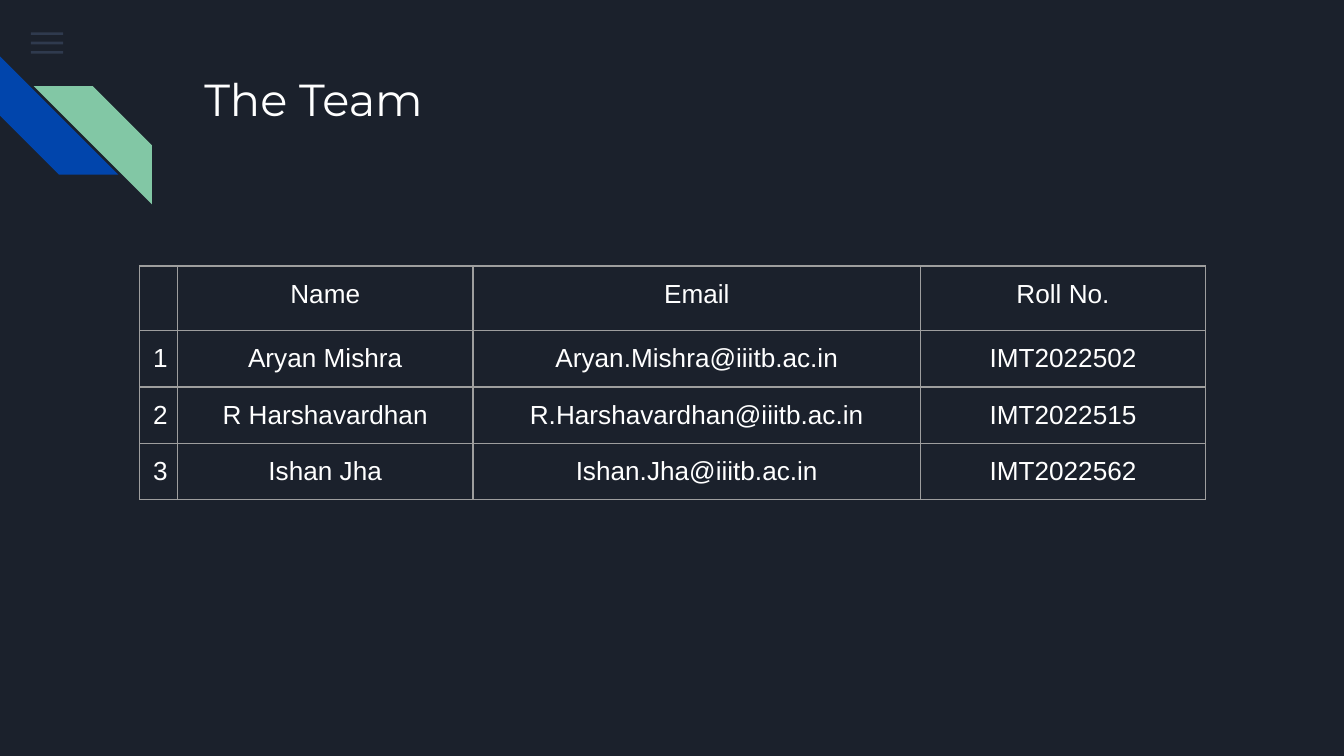
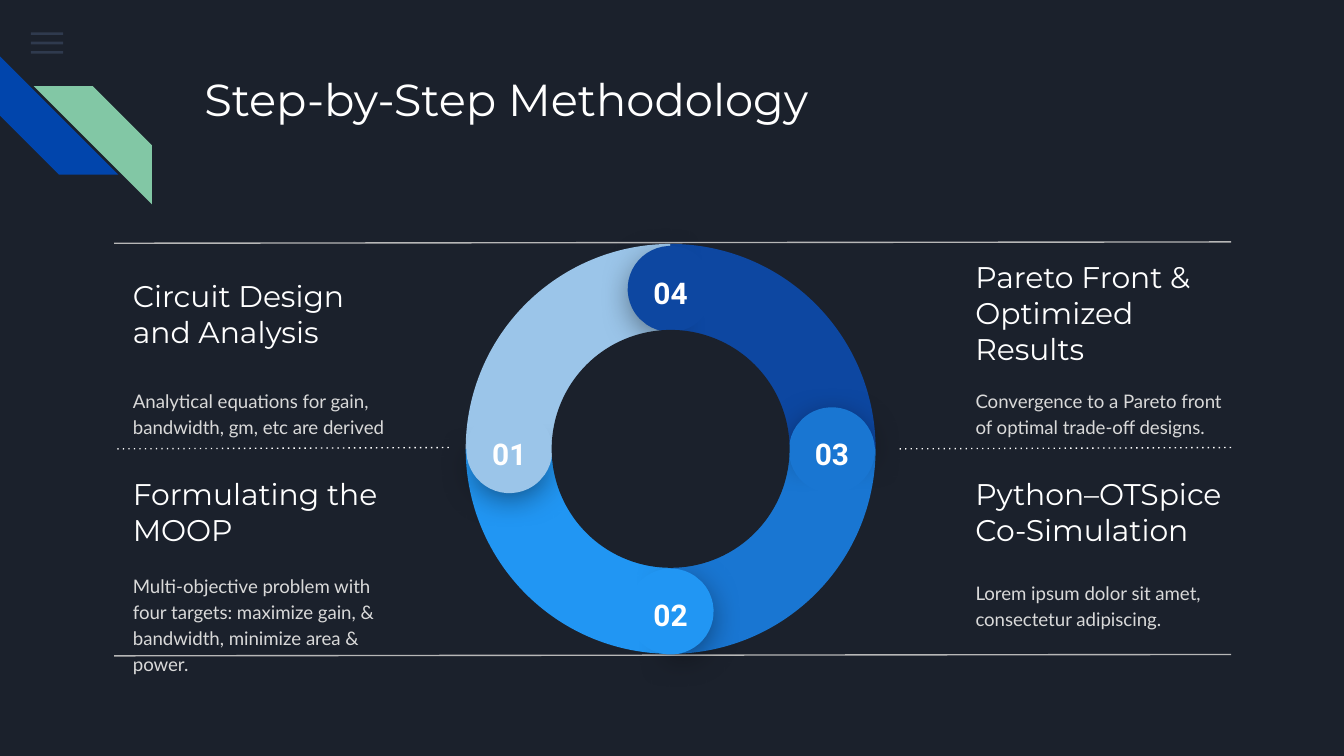
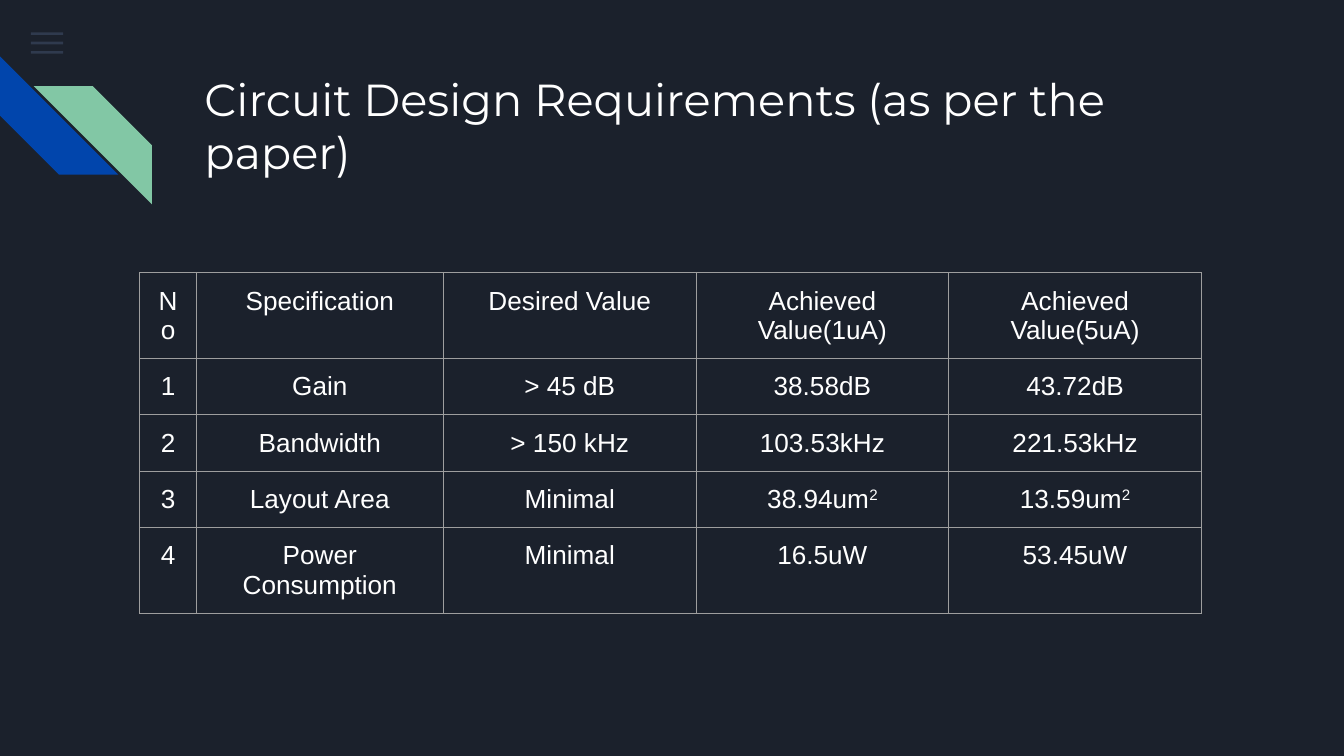
from dataclasses import dataclass
from math import cos, radians, sin

from lxml.etree import SubElement
from pptx import Presentation
from pptx.dml.color import RGBColor
from pptx.enum.shapes import MSO_CONNECTOR, MSO_SHAPE
from pptx.enum.text import MSO_ANCHOR, MSO_AUTO_SIZE, PP_ALIGN
from pptx.oxml.ns import qn
from pptx.util import Inches, Pt


@dataclass(frozen=True)
class Theme:
    background: str = "1B212C"
    menu: str = "55688B"
    blue: str = "0145AC"
    green: str = "82C7A5"
    white: str = "FFFFFF"
    detail: str = "D9D9D9"
    rule: str = "B7B7B7"
    border: str = "9E9E9E"
    shadow: str = "000000"
    title_font: str = "Montserrat"
    detail_font: str = "Lato"
    table_font: str = "Arial"
    number_font: str = "Roboto"
    title_size: int = 24
    heading_size: int = 16
    table_size: int = 14
    detail_size: int = 10
    line_width: float = 0.75


THEME = Theme()


@dataclass(frozen=True)
class Step:
    number: str
    heading: str
    detail: str
    color: str
    left: float
    heading_top: float
    detail_top: float


@dataclass(frozen=True)
class Rule:
    left: float
    right: float
    top: float
    color: str
    dotted: bool = False


@dataclass(frozen=True)
class TableSlide:
    title: str
    top: float
    columns: tuple[float, ...]
    rows: tuple[tuple[str, ...], ...]


TEAM = TableSlide("The Team", 1.98, (0.28, 2.2, 3.33, 2.12), (
    ("", "Name", "Email", "Roll No."),
    ("1", "Aryan Mishra", "Aryan.Mishra@iiitb.ac.in", "IMT2022502"),
    ("2", "R Harshavardhan", "R.Harshavardhan@iiitb.ac.in", "IMT2022515"),
    ("3", "Ishan Jha", "Ishan.Jha@iiitb.ac.in", "IMT2022562"),
))

# A caret marks the superscript that ends a cell
REQUIREMENTS = TableSlide(
    "Circuit Design Requirements (as per the paper)", 2.03,
    (0.42, 1.84, 1.88, 1.88, 1.88), (
        ("No", "Specification", "Desired Value", "Achieved Value(1uA)",
         "Achieved Value(5uA)"),
        ("1", "Gain", "> 45 dB", "38.58dB", "43.72dB"),
        ("2", "Bandwidth", "> 150 kHz", "103.53kHz", "221.53kHz"),
        ("3", "Layout Area", "Minimal", "38.94um^2", "13.59um^2"),
        ("4", "Power Consumption", "Minimal", "16.5uW", "53.45uW"),
    ))

STEPS = (
    Step("01", "Circuit Design and Analysis",
         "Analytical equations for gain, bandwidth, gm, etc are derived",
         "9BC5E9", 0.89, 2.09, 2.69),
    Step("02", "Formulating the MOOP",
         "Multi-objective problem with four targets: maximize gain, & "
         "bandwidth, minimize area & power.",
         "2196F3", 0.89, 3.56, 4.26),
    Step("03", "Python–OTSpice Co-Simulation",
         "Lorem ipsum dolor sit amet, consectetur adipiscing.",
         "1976D2", 7.16, 3.56, 4.12),
    Step("04", "Pareto Front & Optimized Results",
         "Convergence to a Pareto front of optimal trade-off designs.",
         "0D47A1", 7.16, 2.08, 2.69),
)

RULES = (
    Rule(0.85, 9.16, 1.8, THEME.rule),
    Rule(0.85, 3.34, 3.33, THEME.white, dotted=True),
    Rule(6.67, 9.16, 3.33, THEME.white, dotted=True),
    Rule(0.85, 9.16, 4.87, THEME.rule),
)

RING_X, RING_Y = 4.99, 3.34
RING_SIZE, HOLE_SIZE = 3.05, 1.77
CAP_ORBIT = 1.2


# Text
def write_text(frame, text: str, *, font: str, size: float,
               color: str = THEME.white, bold: bool = False,
               align=PP_ALIGN.LEFT, line_spacing: float = 1.0,
               space_after: float = 0) -> None:
    paragraph = frame.paragraphs[0]
    paragraph.alignment = align
    paragraph.line_spacing = line_spacing
    paragraph.space_after = Pt(space_after)
    for index, part in enumerate(text.split("^")):
        run = paragraph.add_run()
        run.text = part
        run.font.name, run.font.size, run.font.bold = font, Pt(size), bold
        run.font.color.rgb = RGBColor.from_string(color)
        if index:
            run._r.get_or_add_rPr().set("baseline", "30000")


def set_frame(frame, anchor=MSO_ANCHOR.TOP) -> None:
    frame.word_wrap = True
    frame.auto_size = MSO_AUTO_SIZE.NONE
    frame.vertical_anchor = anchor
    frame.margin_left = frame.margin_right = Inches(0.1)
    frame.margin_top = frame.margin_bottom = Inches(0.1)


def add_text(slide, left: float, top: float, width: float, height: float,
             text: str, anchor=MSO_ANCHOR.MIDDLE, **text_format) -> None:
    box = slide.shapes.add_textbox(
        Inches(left), Inches(top), Inches(width), Inches(height))
    set_frame(box.text_frame, anchor)
    write_text(box.text_frame, text, **text_format)


# Shapes and lines
def add_filled(slide, kind, left: float, top: float, width: float,
               height: float, color: str, rotation: float = 0,
               angles: tuple[float, ...] = ()):
    shape = slide.shapes.add_shape(
        kind, Inches(left), Inches(top), Inches(width), Inches(height))
    shape.fill.solid()
    shape.fill.fore_color.rgb = RGBColor.from_string(color)
    shape.line.fill.background()
    shape.shadow.inherit = False
    shape.rotation = rotation % 360
    for index, degrees in enumerate(angles):
        shape.adjustments[index] = degrees * 0.6  # 60000ths over 100000
    return shape


def add_centered(slide, kind, x: float, y: float, size: float, color: str,
                 rotation: float = 0, angles: tuple[float, ...] = ()):
    return add_filled(slide, kind, x - size / 2, y - size / 2, size, size,
                      color, rotation, angles)


def add_soft_shadow(shape) -> None:
    effects = shape._element.spPr.find(qn("a:effectLst"))
    shadow = SubElement(effects, qn("a:outerShdw"), blurRad=str(Pt(18)),
                        dist=str(Pt(4)), dir="5400000", algn="bl",
                        rotWithShape="0")
    color = SubElement(shadow, qn("a:srgbClr"), val=THEME.shadow)
    SubElement(color, qn("a:alpha"), val="55000")


def add_rule(slide, rule: Rule) -> None:
    connector = slide.shapes.add_connector(
        MSO_CONNECTOR.STRAIGHT, Inches(rule.right), Inches(rule.top),
        Inches(rule.left), Inches(rule.top + 0.01))
    connector.line.width = Pt(THEME.line_width)
    connector.line.color.rgb = RGBColor.from_string(rule.color)
    properties = connector._element.spPr
    if rule.dotted:
        SubElement(properties.find(qn("a:ln")), qn("a:prstDash"), val="dot")
    SubElement(properties, qn("a:effectLst"))


# Shared slide frame: background, menu mark, corner stripes, title
def add_titled_slide(prs, title_text: str):
    slide = prs.slides.add_slide(prs.slide_layouts[5])
    slide.background.fill.solid()
    slide.background.fill.fore_color.rgb = RGBColor.from_string(
        THEME.background)

    for bar in range(3):
        menu_bar = add_filled(slide, MSO_SHAPE.RECTANGLE, 0.23,
                              0.24 + 0.07 * bar, 0.24, 0.02, THEME.menu)
        menu_color = menu_bar._element.spPr.find(
            qn("a:solidFill")).find(qn("a:srgbClr"))
        SubElement(menu_color, qn("a:alpha"), val="36000")

    add_filled(slide, MSO_SHAPE.DIAGONAL_STRIPE, 0, 0.42, 0.88, 0.88,
               THEME.blue, rotation=270)
    add_filled(slide, MSO_SHAPE.DIAGONAL_STRIPE, 0.25, 0.64, 0.88, 0.88,
               THEME.green, rotation=90)

    title = slide.shapes.title
    title.left, title.top = Inches(1.42), Inches(0.43)
    title.width, title.height = Inches(7.7), Inches(1)
    set_frame(title.text_frame)
    write_text(title.text_frame, title_text, font=THEME.title_font,
               size=THEME.title_size)
    return slide


# Tables
def format_cell(cell, text: str) -> None:
    cell.margin_left = cell.margin_right = Inches(0.1)
    cell.margin_top = cell.margin_bottom = Inches(0.1)
    properties = cell._tc.get_or_add_tcPr()
    for side in ("a:lnL", "a:lnR", "a:lnT", "a:lnB"):
        border = SubElement(properties, qn(side),
                            w=str(Pt(THEME.line_width)))
        fill = SubElement(border, qn("a:solidFill"))
        SubElement(fill, qn("a:srgbClr"), val=THEME.border)
    cell.fill.background()
    if text:
        write_text(cell.text_frame, text, font=THEME.table_font,
                   size=THEME.table_size, align=PP_ALIGN.CENTER)
    else:
        # The font of an empty cell sets its row height
        end = SubElement(cell.text_frame.paragraphs[0]._p,
                         qn("a:endParaRPr"))
        SubElement(end, qn("a:latin"), typeface=THEME.table_font)


def build_table_slide(prs, content: TableSlide) -> None:
    slide = add_titled_slide(prs, content.title)
    row_height = 0.42
    table = slide.shapes.add_table(
        len(content.rows), len(content.columns), Inches(1.04),
        Inches(content.top), Inches(sum(content.columns)),
        Inches(row_height * len(content.rows))).table
    table.first_row = table.horz_banding = False
    for column, width in zip(table.columns, content.columns):
        column.width = Inches(width)
    for row, texts in zip(table.rows, content.rows):
        row.height = Inches(row_height)
        for cell, text in zip(row.cells, texts):
            format_cell(cell, text)


# Methodology ring
def add_ring(slide) -> None:
    for index, step in enumerate(STEPS):
        add_centered(slide, MSO_SHAPE.PIE, RING_X, RING_Y, RING_SIZE,
                     step.color, -90 * index, (179.9, 270))

    # Rounded caps run counterclockwise from the left
    for index, step in enumerate(STEPS):
        turn = -90 * index
        direction = radians(180 + turn)
        cap_x = RING_X + CAP_ORBIT * cos(direction)
        cap_y = RING_Y + 0.01 + CAP_ORBIT * sin(direction)
        half_cap = add_centered(slide, MSO_SHAPE.PIE, cap_x, cap_y, 0.57,
                                step.color, 39.5 + turn, (315.9, 139.7))
        add_soft_shadow(half_cap)
        add_centered(slide, MSO_SHAPE.CHORD, cap_x, cap_y, 0.64,
                     step.color, 4.1 + turn, (41.7, 30.2))
        add_text(slide, cap_x - 0.28, cap_y - 0.21, 0.56, 0.29, step.number,
                 anchor=MSO_ANCHOR.TOP, font=THEME.number_font,
                 size=THEME.heading_size, bold=True, align=PP_ALIGN.CENTER)

    add_centered(slide, MSO_SHAPE.OVAL, RING_X, RING_Y, HOLE_SIZE,
                 THEME.background)


def build_methodology_slide(prs) -> None:
    slide = add_titled_slide(prs, "Step-by-Step Methodology")
    for step in STEPS:
        add_text(slide, step.left, step.heading_top, 2.03, 0.49,
                 step.heading, font=THEME.title_font,
                 size=THEME.heading_size)
        add_text(slide, step.left, step.detail_top, 2.18, 0.76, step.detail,
                 font=THEME.detail_font, size=THEME.detail_size,
                 color=THEME.detail, line_spacing=1.15, space_after=16)
    for rule in RULES:
        add_rule(slide, rule)
    add_ring(slide)


def main() -> None:
    prs = Presentation()
    prs.slide_width = Inches(10)
    prs.slide_height = Inches(10 * 9 / 16)
    build_table_slide(prs, TEAM)
    build_methodology_slide(prs)
    build_table_slide(prs, REQUIREMENTS)
    prs.save("out.pptx")


if __name__ == "__main__":
    main()
